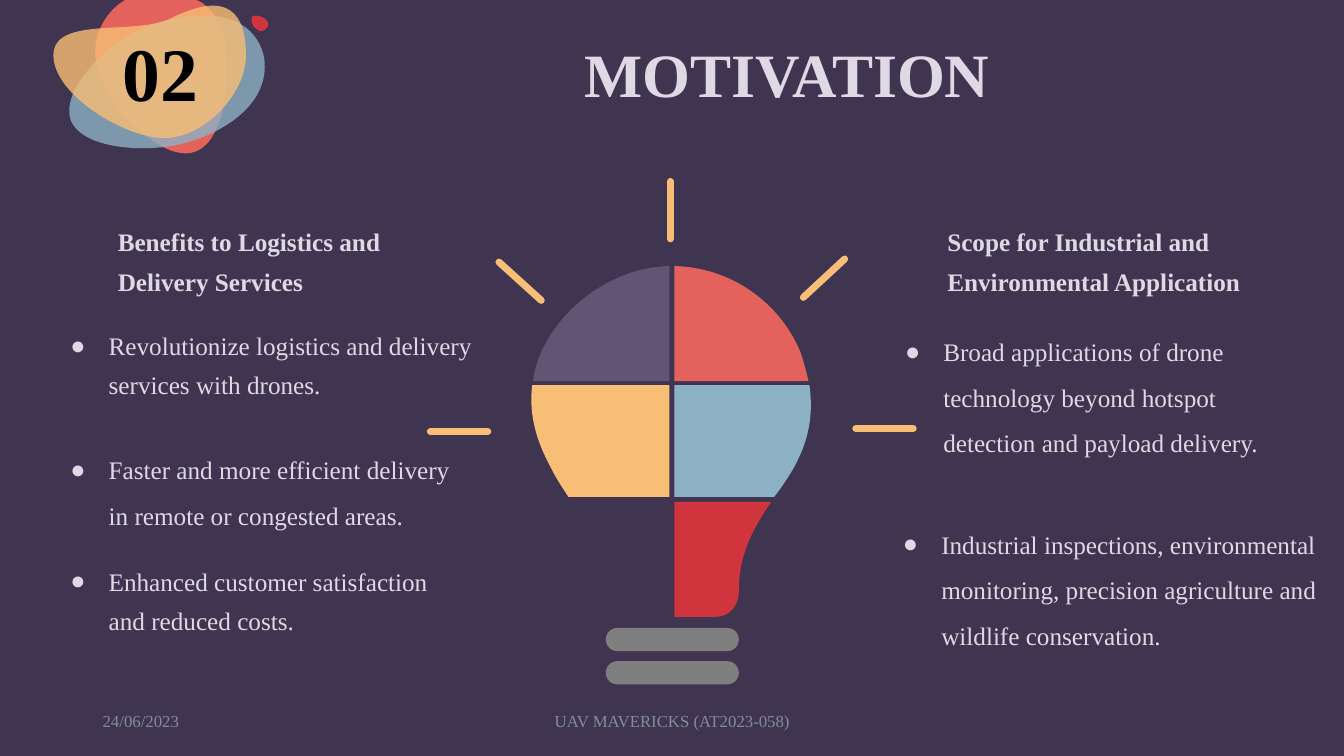
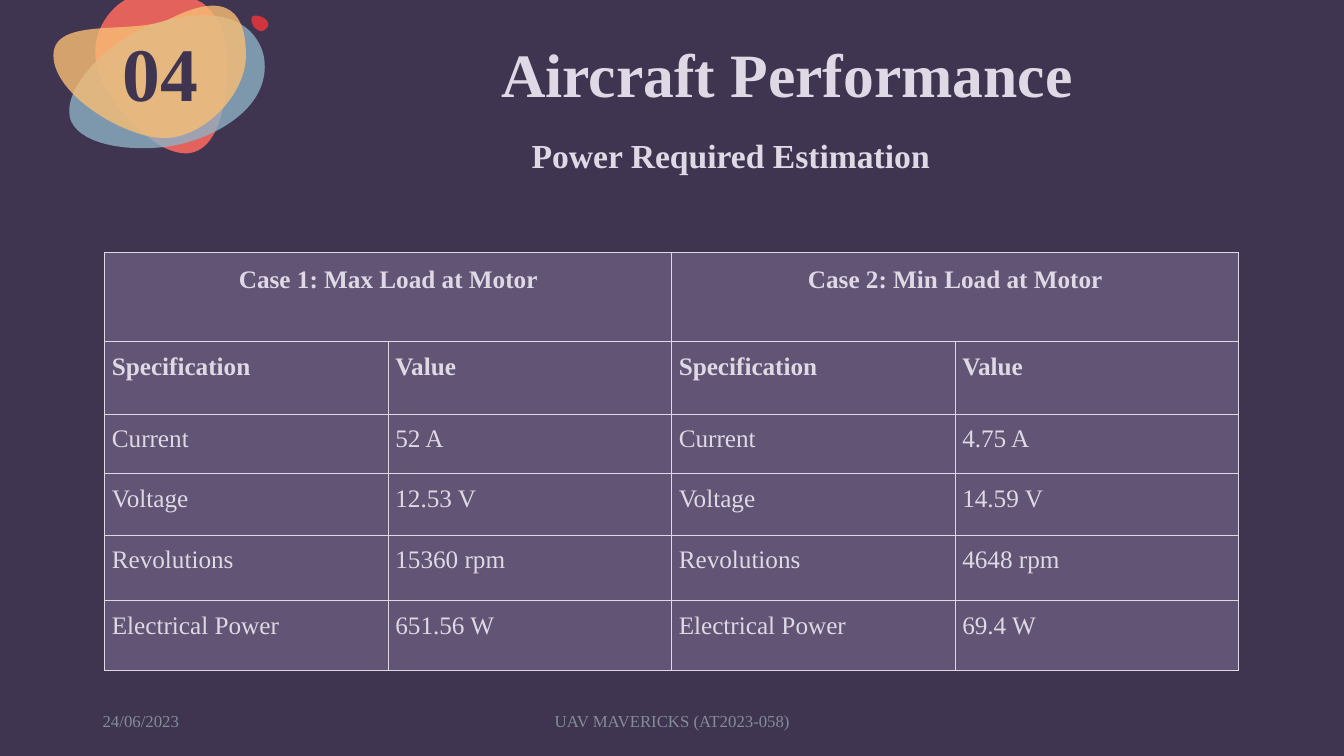
"""Build two slides of a drone project deck: motivation and aircraft performance."""
from dataclasses import dataclass
from typing import NamedTuple

from lxml.etree import SubElement
from pptx import Presentation
from pptx.dml.color import RGBColor
from pptx.enum.shapes import MSO_CONNECTOR as Connector, MSO_SHAPE as Preset
from pptx.enum.text import MSO_ANCHOR as Anchor, PP_ALIGN as Align
from pptx.oxml.ns import qn
from pptx.util import Inches, Pt


@dataclass(frozen=True)
class Theme:
    font: str = "Times New Roman"
    night: str = "403551"
    mist: str = "DED9E5"
    plum: str = "615474"
    coral: str = "E4625C"
    sky: str = "8DB1C4"
    amber: str = "F9BE75"
    red: str = "D0343C"
    gray: str = "7F7F7F"
    slate: str = "838C97"
    black: str = "000000"
    title: float = 44
    number: float = 54
    subtitle: float = 24
    body: float = 18
    footer: float = 12


THEME = Theme()


class Box(NamedTuple):
    left: float
    top: float
    width: float
    height: float


class Style(NamedTuple):
    size: float = THEME.body
    color: str = THEME.mist
    bold: bool = False
    align: Align = Align.LEFT
    spacing: float = 1.0
    anchor: Anchor = Anchor.TOP
    inset: float = 0.05
    bullet: bool = False


class Outline(NamedTuple):
    """A closed outline: pairs are straight steps, sextets are cubic curves."""

    color: str
    box: Box
    start: tuple[float, float]
    steps: list[tuple[float, ...]]
    alpha: int = 100


class Ray(NamedTuple):
    x1: float
    y1: float
    x2: float
    y2: float


class Note(NamedTuple):
    box: Box
    text: str
    spacing: float


TITLE = Style(THEME.title, bold=True, align=Align.CENTER, spacing=0.9, anchor=Anchor.MIDDLE)
SUBTITLE = Style(THEME.subtitle, bold=True, align=Align.CENTER, anchor=Anchor.MIDDLE, inset=0.1)
HEADING = Style(bold=True, inset=0.1)
BULLET = Style(bullet=True)
FOOTER = Style(THEME.footer, THEME.slate, anchor=Anchor.MIDDLE)
CELL = Style(align=Align.JUSTIFY, spacing=1.15)

BADGE = [
    Outline(THEME.coral, Box(0.94, 0, 1.31, 1.52), (1.24, 0), [
        (1.95, 0), (2.01, 0.03), (2.14, 0.14, 2.23, 0.29, 2.24, 0.46),
        (2.28, 0.81, 2.23, 1.48, 1.87, 1.52), (1.51, 1.55, 0.98, 0.94, 0.95, 0.59),
        (0.92, 0.37, 1.02, 0.17, 1.18, 0.04)]),
    Outline(THEME.sky, Box(0.69, 0.15, 1.94, 1.32), (0.71, 1.21), [
        (0.82, 1.44, 1.29, 1.51, 1.69, 1.45), (2.08, 1.39, 2.7, 1.09, 2.62, 0.57),
        (2.58, 0.36, 2.36, -0.01, 1.55, 0.23), (1.1, 0.37, 0.57, 0.9, 0.71, 1.21)], 80),
    Outline(THEME.amber, Box(0.53, 0.06, 1.91, 1.31), (0.53, 0.55), [
        (0.53, 0.94, 1.24, 1.37, 1.63, 1.37), (2.02, 1.37, 2.44, 0.94, 2.44, 0.55),
        (2.44, 0.15, 2.28, -0.11, 1.7, 0.18), (1.35, 0.36, 0.53, 0.15, 0.53, 0.55)], 80),
    Outline(THEME.night, Box(0.97, 1.53, 0.24, 0.24), (1.21, 1.74), [
        (1.23, 1.7, 1.19, 1.58, 1.13, 1.54), (1.07, 1.51, 1, 1.58, 0.98, 1.62),
        (0.96, 1.66, 0.99, 1.72, 1.05, 1.76), (1.11, 1.79, 1.18, 1.78, 1.21, 1.74)]),
    Outline(THEME.red, Box(2.49, 0.15, 0.16, 0.16), (2.5, 0.17), [
        (2.48, 0.2, 2.51, 0.28, 2.56, 0.3), (2.6, 0.33, 2.64, 0.29, 2.66, 0.26),
        (2.67, 0.23, 2.65, 0.19, 2.6, 0.17), (2.56, 0.15, 2.51, 0.15, 2.5, 0.17)]),
]

BULB = [
    Outline(THEME.plum, Box(5.29, 2.64, 1.35, 1.14), (6.64, 2.64), [
        (6.64, 3.78), (5.29, 3.78), (5.3, 3.68, 5.33, 3.58, 5.37, 3.49),
        (5.59, 3.01, 6.11, 2.65, 6.64, 2.64)]),
    Outline(THEME.amber, Box(5.24, 3.82, 1.39, 1.11), (6.64, 3.82), [
        (6.64, 4.93), (5.64, 4.93), (5.58, 4.84, 5.52, 4.75, 5.47, 4.65),
        (5.34, 4.41, 5.24, 4.14, 5.28, 3.82)]),
    Outline(THEME.coral, Box(6.69, 2.64, 1.33, 1.14), (8.02, 3.78), [
        (6.69, 3.78), (6.69, 2.64), (7.24, 2.65, 7.73, 2.99, 7.94, 3.49),
        (7.97, 3.58, 8, 3.68, 8.02, 3.78)]),
    Outline(THEME.night, Box(5.67, 4.98, 0.96, 1.14), (6.64, 4.98), [
        (6.64, 6.12), (6.25, 6.12), (6.18, 6.12, 6.13, 6.09, 6.08, 6.05),
        (6.04, 6.01, 6.02, 5.95, 6.02, 5.88), (6.02, 5.87, 6.01, 5.85, 6.01, 5.83),
        (6, 5.49, 5.84, 5.23, 5.67, 4.98)]),
    Outline(THEME.sky, Box(6.69, 3.82, 1.39, 1.11), (7.87, 4.65), [
        (7.81, 4.75, 7.75, 4.84, 7.68, 4.93), (6.69, 4.93), (6.69, 3.82), (8.03, 3.82),
        (8.08, 4.18, 7.99, 4.43, 7.87, 4.65)]),
    Outline(THEME.red, Box(6.69, 4.98, 0.96, 1.14), (7.65, 4.98), [
        (7.49, 5.22, 7.34, 5.47, 7.33, 5.83), (7.33, 5.88),
        (7.33, 6.01, 7.23, 6.12, 7.1, 6.12), (6.69, 6.12), (6.69, 4.98)]),
]
BULB_BASE = [Box(6.01, top, 1.32, 0.23) for top in (6.23, 6.56)]
RAYS = [
    Ray(8.49, 4.25, 9.06, 4.25), Ray(7.97, 2.95, 8.38, 2.57), Ray(6.65, 1.8, 6.65, 2.37),
    Ray(4.27, 4.28, 4.84, 4.28), Ray(4.95, 2.6, 5.37, 2.98),
]

HEADINGS = [
    Note(Box(1.07, 2.06, 3.52, 0.9), "Benefits to Logistics and Delivery Services", 1.3),
    Note(Box(9.3, 2.06, 3.23, 0.9), "Scope for Industrial and Environmental Application", 1.3),
]
BULLETS = [
    Note(Box(0.48, 3.14, 4.69, 0.63),
         "Revolutionize logistics and delivery services with drones.", 1.3),
    Note(Box(0.48, 4.31, 4.32, 0.63),
         "Faster and more efficient delivery in remote or congested areas.", 1.5),
    Note(Box(0.48, 5.48, 4.12, 0.63),
         "Enhanced customer satisfaction and reduced costs.", 1.3),
    Note(Box(8.74, 5.05, 4.5, 0.63),
         "Industrial inspections, environmental monitoring, precision agriculture "
         "and wildlife conservation.", 1.5),
    Note(Box(8.76, 3.14, 4.32, 0.63),
         "Broad applications of drone technology beyond hotspot detection "
         "and payload delivery.", 1.5),
]

CASES = ("Case 1: Max Load at Motor", "Case 2: Min Load at Motor")
READINGS = [
    ("Specification", "Value", "Value"),
    ("Current", "52 A", "4.75 A"),
    ("Voltage", "12.53 V", "14.59 V"),
    ("Revolutions", "15360 rpm", "4648 rpm"),
    ("Electrical Power", "651.56 W", "69.4 W"),
]
ROW_HEIGHTS = (0.89, 0.72, 0.59, 0.61, 0.65, 0.69)


def rgb(color: str) -> RGBColor:
    return RGBColor.from_string(color)


def place(box: Box) -> list[int]:
    return [Inches(length) for length in box]


def write(para, text: str, style: Style) -> None:
    para.text = text
    if style.bullet:
        props = para._p.get_or_add_pPr()
        props.set("marL", str(Inches(0.5)))
        props.set("indent", str(Inches(-0.38)))
        SubElement(SubElement(props, qn("a:buClr")), qn("a:srgbClr"), val=style.color)
        SubElement(props, qn("a:buFont"), typeface=THEME.font)
        SubElement(props, qn("a:buChar"), char="●")
    para.alignment = style.align
    para.line_spacing = style.spacing
    font = para.font
    font.name, font.size, font.bold = THEME.font, Pt(style.size), style.bold
    font.color.rgb = rgb(style.color)


def add_text(page, box: Box, text: str, style: Style) -> None:
    frame = page.shapes.add_textbox(*place(box)).text_frame
    frame.word_wrap = True
    frame.vertical_anchor = style.anchor
    frame.margin_top = frame.margin_bottom = Inches(style.inset)
    write(frame.paragraphs[0], text, style)


def paint(shape, color: str, alpha: int = 100) -> None:
    shape.shadow.inherit = False
    shape.line.fill.background()
    shape.fill.solid()
    shape.fill.fore_color.rgb = rgb(color)
    if alpha < 100:
        tint = shape._element.spPr.find(qn("a:solidFill"))[0]
        SubElement(tint, qn("a:alpha"), val=str(alpha * 1000))


def add_outline(page, outline: Outline) -> None:
    left, top, width, height = place(outline.box)
    builder = page.shapes.build_freeform(left, top, scale=1.0)
    builder.add_line_segments([(left + width, top + height)], close=False)
    shape = builder.convert_to_shape()
    route = next(shape._element.iter(qn("a:path")))
    for child in list(route):
        route.remove(child)
    kinds = {2: "a:lnTo", 6: "a:cubicBezTo"}
    moves = [("a:moveTo", outline.start)] + [(kinds[len(step)], step) for step in outline.steps]
    for kind, step in moves:
        move = SubElement(route, qn(kind))
        for x, y in zip(step[::2], step[1::2]):
            SubElement(move, qn("a:pt"), x=str(Inches(x) - left), y=str(Inches(y) - top))
    SubElement(route, qn("a:close"))
    paint(shape, outline.color, outline.alpha)


def add_ray(page, ray: Ray) -> None:
    line = page.shapes.add_connector(Connector.STRAIGHT, *(Inches(end) for end in ray))
    line.line.width = Pt(5)
    line.line.color.rgb = rgb(THEME.amber)
    props = line._element.spPr
    props.find(qn("a:ln")).set("cap", "rnd")
    SubElement(props, qn("a:effectLst"))


def add_page(deck, number: str, title: str, number_color: str):
    page = deck.slides.add_slide(deck.slide_layouts[6])
    page.background.fill.solid()
    page.background.fill.fore_color.rgb = rgb(THEME.night)
    for outline in BADGE:
        add_outline(page, outline)
    add_text(page, Box(3.2, 0.15, 9.22, 1.24), title, TITLE)
    add_text(page, Box(0.96, 0.15, 1.27, 1.23), number,
             TITLE._replace(size=THEME.number, color=number_color))
    add_text(page, Box(0.92, 6.95, 3, 0.4), "24/06/2023", FOOTER)
    add_text(page, Box(4.42, 6.95, 4.5, 0.4), "UAV MAVERICKS (AT2023-058)",
             FOOTER._replace(align=Align.CENTER))
    return page


def fill_cell(cell, text: str, style: Style, inset: float) -> None:
    props = cell._tc.get_or_add_tcPr()
    for side in ("lnL", "lnR", "lnT", "lnB"):
        edge = SubElement(props, qn(f"a:{side}"), w=str(Pt(0.6)))
        SubElement(SubElement(edge, qn("a:solidFill")), qn("a:srgbClr"), val=THEME.mist)
    cell.fill.solid()
    cell.fill.fore_color.rgb = rgb(THEME.plum)
    cell.margin_left = cell.margin_right = Inches(inset)
    cell.margin_top = cell.margin_bottom = Inches(inset)
    write(cell.text_frame.paragraphs[0], text, style)


def add_readings(page) -> None:
    box = Box(1.04, 2.5, 11.25, sum(ROW_HEIGHTS))
    table = page.shapes.add_table(len(ROW_HEIGHTS), 4, *place(box)).table
    table.first_row = table.horz_banding = False
    for row, height in zip(table.rows, ROW_HEIGHTS):
        row.height = Inches(height)
    for index, case in enumerate(CASES):
        first, second = table.cell(0, 2 * index), table.cell(0, 2 * index + 1)
        first.merge(second)
        for cell, text in ((first, case), (second, "")):
            fill_cell(cell, text, CELL._replace(bold=True, align=Align.CENTER), 0.1)
    for row, (label, maximum, minimum) in enumerate(READINGS, 1):
        for column, text in enumerate((label, maximum, label, minimum)):
            fill_cell(table.cell(row, column), text, CELL._replace(bold=row == 1), 0.07)


def build_motivation(deck) -> None:
    page = add_page(deck, "02", "MOTIVATION", THEME.black)
    for box in BULB_BASE:
        bar = page.shapes.add_shape(Preset.ROUNDED_RECTANGLE, *place(box))
        bar.adjustments[0] = 0.5
        paint(bar, THEME.gray)
    for ray in RAYS:
        add_ray(page, ray)
    for outline in BULB:
        add_outline(page, outline)
    for notes, style in ((BULLETS, BULLET), (HEADINGS, HEADING)):
        for note in notes:
            add_text(page, note.box, note.text, style._replace(spacing=note.spacing))


def build_performance(deck) -> None:
    page = add_page(deck, "04", "Aircraft Performance", THEME.night)
    add_text(page, Box(4.87, 1.29, 4.76, 0.5), "Power Required Estimation", SUBTITLE)
    add_readings(page)


def main() -> None:
    deck = Presentation()
    deck.slide_width, deck.slide_height = Inches(40 / 3), Inches(7.5)
    build_motivation(deck)
    build_performance(deck)
    deck.save("out.pptx")


if __name__ == "__main__":
    main()
